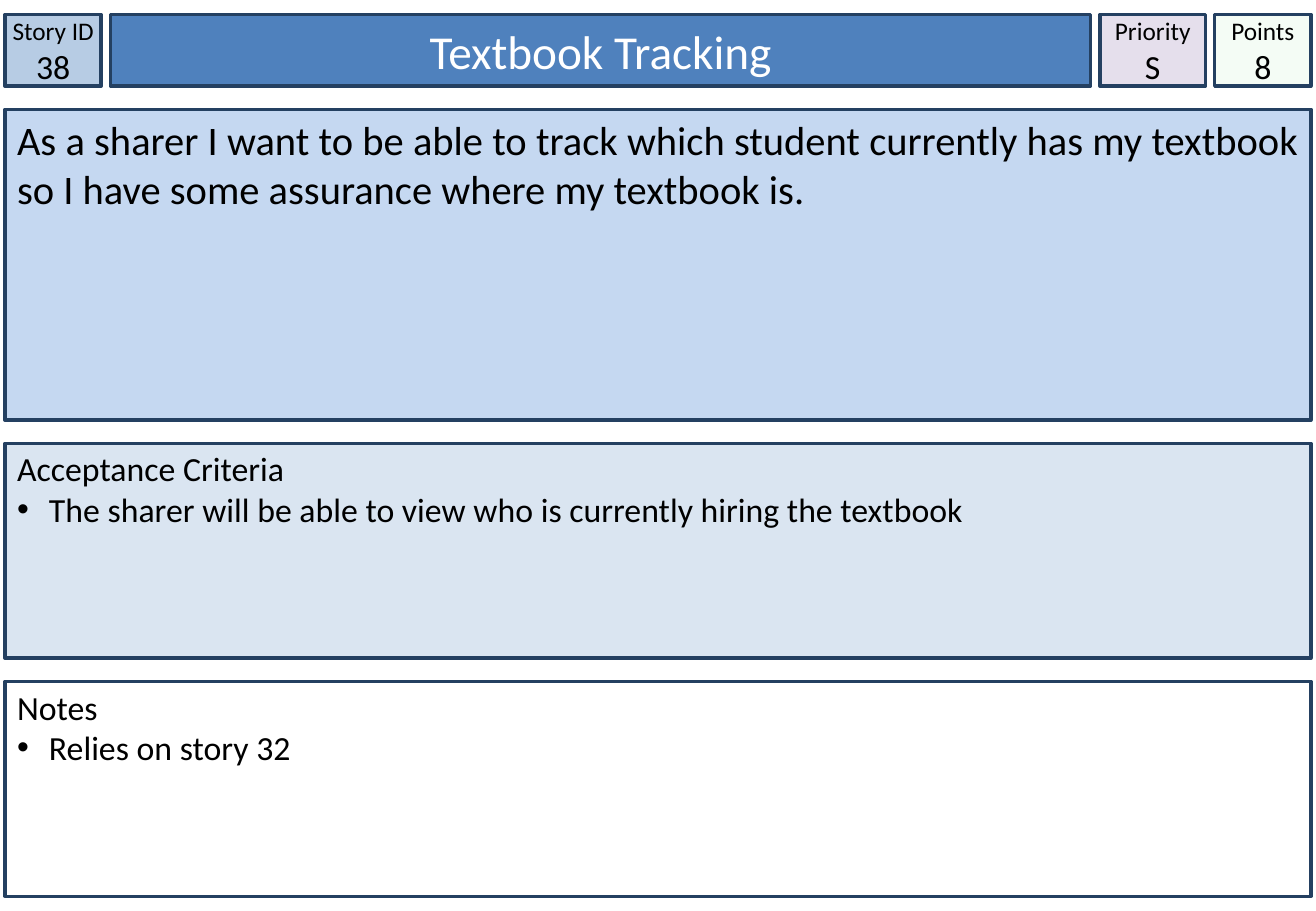
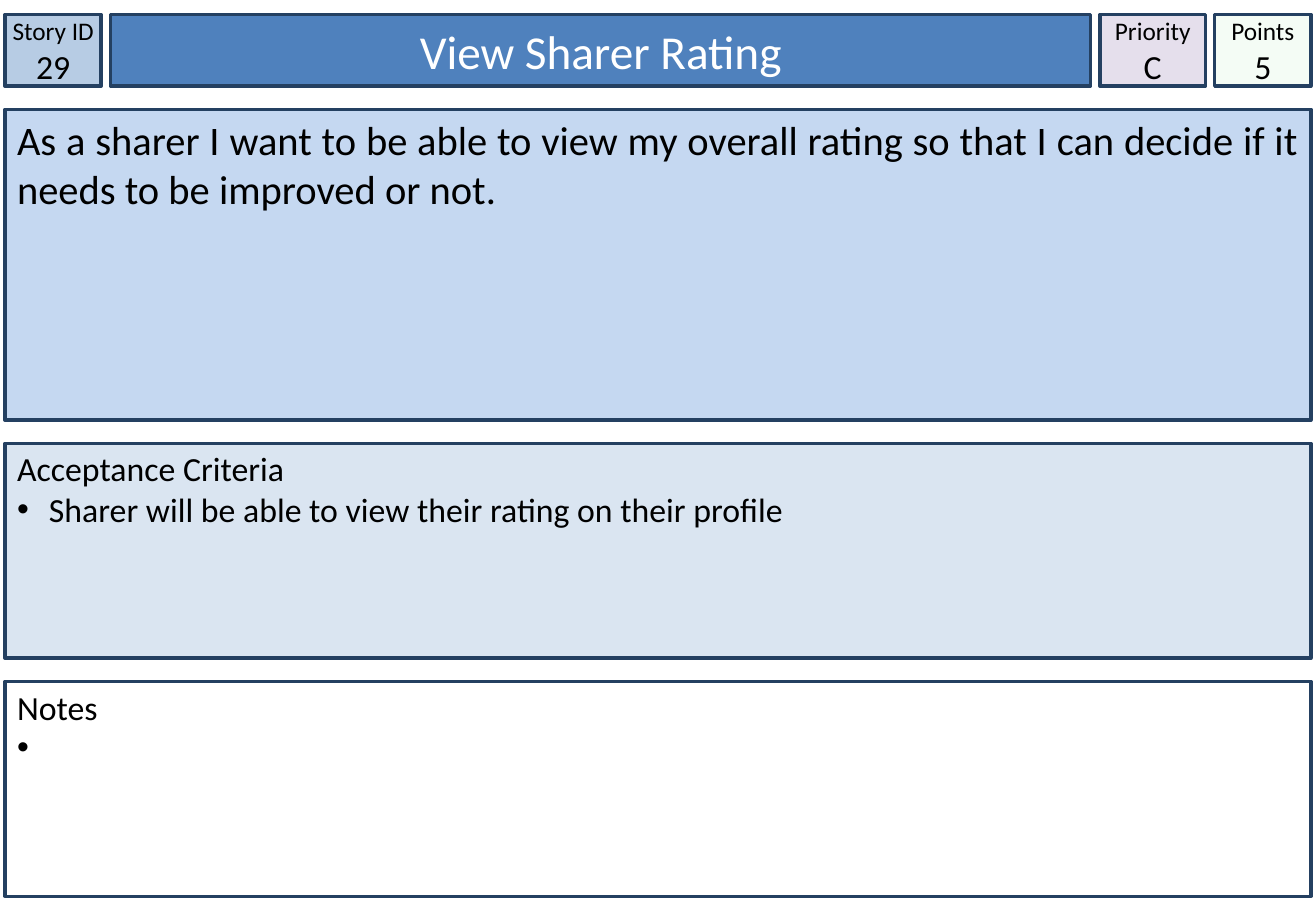
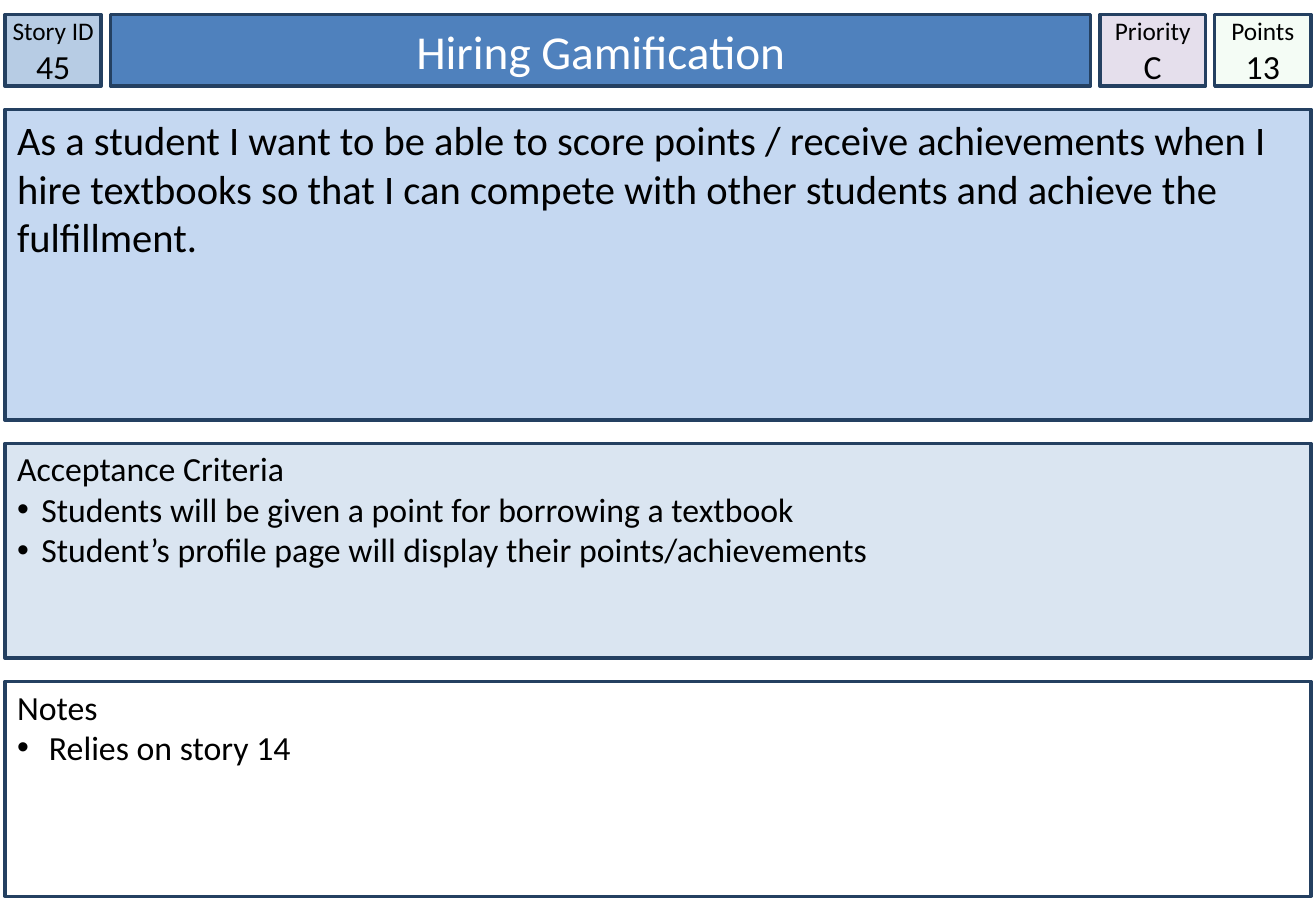
from lxml.etree import SubElement
from pptx import Presentation
from pptx.dml.color import RGBColor
from pptx.enum.shapes import MSO_SHAPE
from pptx.enum.text import MSO_ANCHOR, PP_ALIGN
from pptx.oxml.ns import qn
from pptx.util import Pt

# Shared style
FONT = "Calibri"
BLACK = RGBColor(0x00, 0x00, 0x00)
WHITE = RGBColor(0xFF, 0xFF, 0xFF)
NAVY = RGBColor(0x24, 0x40, 0x61)
BLUE = RGBColor(0x4F, 0x81, 0xBD)
STEEL = RGBColor(0xB7, 0xCC, 0xE4)
SKY = RGBColor(0xC5, 0xD8, 0xF1)
PALE_BLUE = RGBColor(0xDA, 0xE5, 0xF1)
LILAC = RGBColor(0xE5, 0xDF, 0xEC)
MINT = RGBColor(0xCC, 0xF0, 0xCD)
MINT_OPACITY = 20

# Card layout, in points
LEFT, TOP = 3, 8.6
CARD_WIDTH = 774
HEADER_HEIGHT, HEADER_GAP = 42.5, 5.5
STORY_HEIGHT, LIST_HEIGHT, ROW_GAP = 184.3, 127.4, 13.7
BULLET_INDENT = 14.4

# Story cards
STORIES = [
    {
        "id": "38", "title": "Textbook Tracking", "priority": "S", "points": "8",
        "story": "As a sharer I want to be able to track which student currently has "
                 "my textbook so I have some assurance where my textbook is.",
        "align": PP_ALIGN.JUSTIFY,
        "criteria": [" The sharer will be able to view who is currently hiring the textbook"],
        "notes": [" Relies on story 32"],
    },
    {
        "id": "29", "title": "View Sharer Rating", "priority": "C", "points": "5",
        "story": "As a sharer I want to be able to view my overall rating so that I can "
                 "decide if it needs to be improved or not.",
        "align": PP_ALIGN.JUSTIFY,
        "criteria": [" Sharer will be able to view their rating on their profile"],
        "notes": [" "],
    },
    {
        "id": "45", "title": "Hiring Gamification", "priority": "C", "points": "13",
        "story": "As a student I want to be able to score points / receive achievements "
                 "when I hire textbooks so that I can compete with other students and "
                 "achieve the fulfillment.",
        "align": PP_ALIGN.LEFT,
        "criteria": ["Students will be given a point for borrowing a textbook",
                     "Student’s profile page will display their points/achievements"],
        "notes": [" Relies on story 14"],
    },
]


def add_box(slide, left, top, width, height, fill, anchor, side_inset, top_inset=3.6):
    box = slide.shapes.add_shape(MSO_SHAPE.RECTANGLE, Pt(left), Pt(top), Pt(width), Pt(height))
    box.shadow.inherit = False
    box.fill.solid()
    box.fill.fore_color.rgb = fill
    box.line.color.rgb = NAVY
    box.line.width = Pt(2)
    frame = box.text_frame
    frame.word_wrap = True
    frame.vertical_anchor = anchor
    frame.margin_left = frame.margin_right = Pt(side_inset)
    frame.margin_top, frame.margin_bottom = Pt(top_inset), Pt(3.6)
    return box


def add_lines(box, lines, align, color=BLACK):
    frame = box.text_frame
    for number, (text, size) in enumerate(lines):
        paragraph = frame.add_paragraph() if number else frame.paragraphs[0]
        paragraph.alignment = align
        run = paragraph.add_run()
        run.text = text
        run.font.name = FONT
        run.font.size = Pt(size)
        run.font.color.rgb = color


prs = Presentation()
prs.slide_width, prs.slide_height = Pt(780), Pt(540)

for story in STORIES:
    slide = prs.slides.add_slide(prs.slide_layouts[6])

    # Header row: story ID, title, priority, points
    header = [
        (57, STEEL, 0, [("Story ID", 15), (story["id"], 20)], BLACK),
        (581, BLUE, 7.2, [(story["title"], 28)], WHITE),
        (62.5, LILAC, 0, [("Priority", 15), (story["priority"], 20)], BLACK),
        (57, MINT, 0, [("Points", 15), (story["points"], 20)], BLACK),
    ]
    left = LEFT
    for width, fill, inset, lines, color in header:
        cell = add_box(slide, left, TOP, width, HEADER_HEIGHT, fill, MSO_ANCHOR.MIDDLE, inset)
        add_lines(cell, lines, PP_ALIGN.CENTER, color)
        if fill == MINT:
            mint = cell.fill._xPr.find(qn("a:solidFill"))[0]
            SubElement(mint, qn("a:alpha"), val=str(MINT_OPACITY * 1000))
        left += width + HEADER_GAP

    # User story
    top = TOP + HEADER_HEIGHT + ROW_GAP
    user_story = add_box(slide, LEFT, top, CARD_WIDTH, STORY_HEIGHT, SKY, MSO_ANCHOR.TOP, 7.2)
    add_lines(user_story, [(story["story"], 24)], story["align"])
    top += STORY_HEIGHT + ROW_GAP

    # Acceptance criteria and notes
    for heading, items, fill in [("Acceptance Criteria", story["criteria"], PALE_BLUE),
                                 ("Notes", story["notes"], WHITE)]:
        section = add_box(slide, LEFT, top, CARD_WIDTH, LIST_HEIGHT, fill, MSO_ANCHOR.TOP, 7.2, 2.9)
        add_lines(section, [(text, 20) for text in [heading, *items]], PP_ALIGN.LEFT)
        for paragraph in section.text_frame.paragraphs[1:]:
            properties = paragraph._p.get_or_add_pPr()
            properties.set("marL", str(Pt(BULLET_INDENT)))
            properties.set("indent", str(-Pt(BULLET_INDENT)))
            bullet_color = SubElement(properties, qn("a:buClr"))
            SubElement(bullet_color, qn("a:srgbClr"), val=str(BLACK))
            SubElement(properties, qn("a:buFont"), typeface="Arial")
            SubElement(properties, qn("a:buChar"), char="•")
        top += LIST_HEIGHT + ROW_GAP

prs.save("out.pptx")
